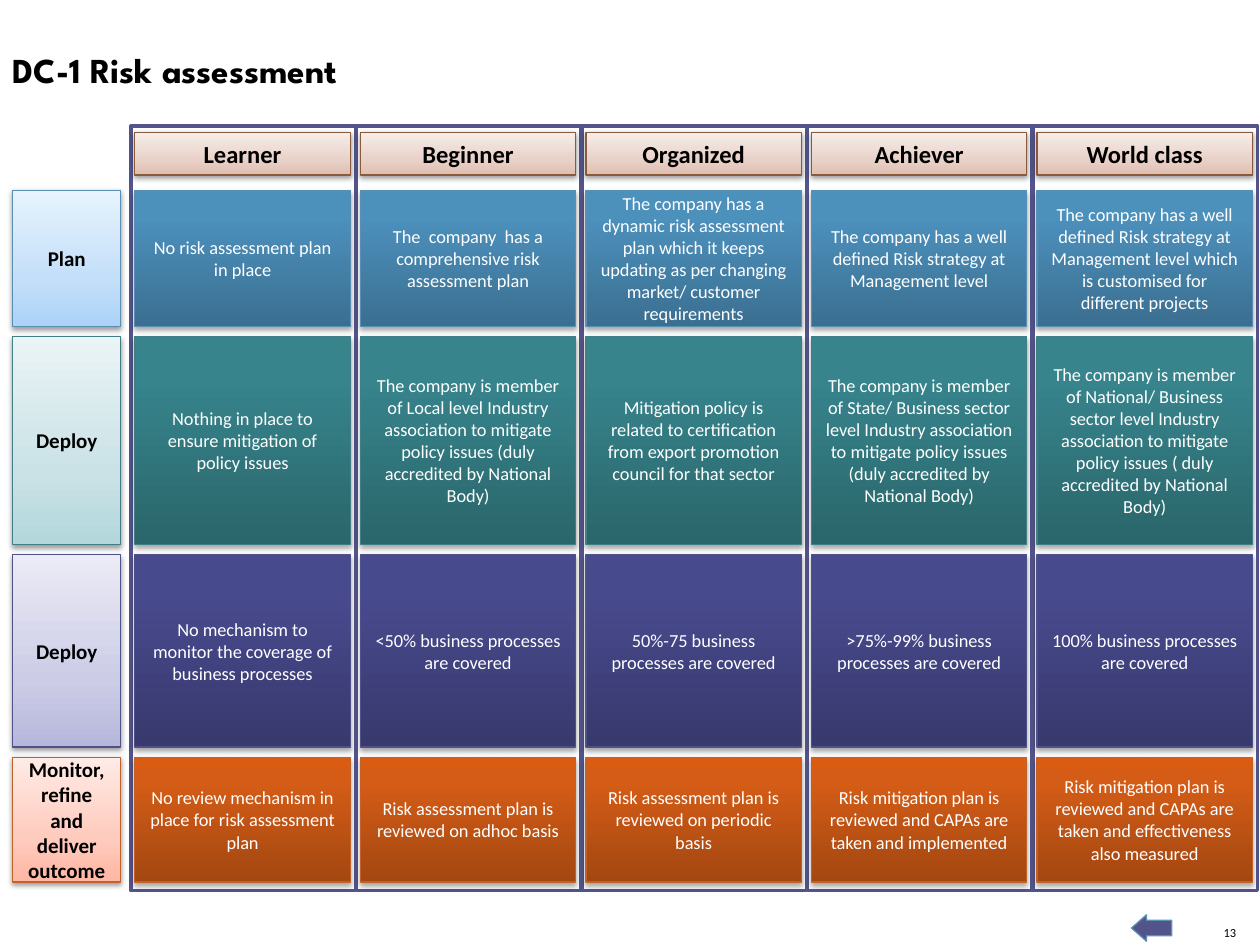
from itertools import accumulate

from lxml import etree
from pptx import Presentation
from pptx.dml.color import RGBColor
from pptx.enum.shapes import MSO_SHAPE
from pptx.enum.text import MSO_ANCHOR, MSO_AUTO_SIZE, PP_ALIGN
from pptx.oxml.ns import qn
from pptx.util import Inches, Pt

RECT, ARROW = MSO_SHAPE.RECTANGLE, MSO_SHAPE.RIGHT_ARROW
LEFT, CENTER, RIGHT = PP_ALIGN.LEFT, PP_ALIGN.CENTER, PP_ALIGN.RIGHT
MIDDLE, BOTTOM = MSO_ANCHOR.MIDDLE, MSO_ANCHOR.BOTTOM

BLACK = RGBColor(0x00, 0x00, 0x00)
WHITE = RGBColor(0xFF, 0xFF, 0xFF)
INDIGO = RGBColor(0x53, 0x54, 0x8A)
ARROW_LINE = RGBColor(0x5C, 0x92, 0xB5)
BROWN = RGBColor(0x8A, 0x5B, 0x3A)
BLUE = RGBColor(0x58, 0x8F, 0xB3)
TEAL = RGBColor(0x40, 0x7F, 0x85)
VIOLET = RGBColor(0x50, 0x51, 0x88)
ORANGE = RGBColor(0xC3, 0x62, 0x28)


def shades(*values):
    return [RGBColor.from_string(v) for v in values]


HEADER_FILL = shades("E0BEB0", "E8D1C8", "F7EDEA")
LIGHT_STOPS, DARK_STOPS = (0, 35, 100), (0, 80, 100)

# Grid, in inches
COL_LEFT, COL_PITCH, COL_WIDTH = 1.07, 1.79, 1.71
FRAME_LEFT, FRAME_TOP, FRAME_WIDTH, FRAME_HEIGHT = 1.04, 1, 1.78, 6.07
HEADER_TOP, HEADER_HEIGHT = 1.05, 0.34
LABEL_LEFT, LABEL_WIDTH = 0.1, 0.86
ROW_TOP, ROW_GAP = 1.51, 0.08

LEVELS = ["Learner", "Beginner", "Organized", "Achiever", "World class"]

# Label, height, line, label shades, cell shades, cell texts
ROWS = [
    ("Plan", 1.08, BLUE, shades("ABD3F8", "C4DFF9", "E7F3FE"),
     shades("3B6F91", "4C90BC", "4A91BF"), [
         "No risk assessment plan in place",
         "The  company  has a comprehensive risk assessment plan",
         "The company has a dynamic risk assessment plan which it keeps "
         "updating as per changing market/ customer requirements",
         "The company has a well defined Risk strategy at Management level",
         "The company has a well defined Risk strategy at Management level "
         "which is customised for different projects"]),
    ("Deploy", 1.65, TEAL, shades("B3D7DC", "CAE2E6", "EAF4F6"),
     shades("2A666B", "37848C", "36868E"), [
         "Nothing in place to ensure mitigation of policy issues",
         "The company is member of Local level Industry association to "
         "mitigate policy issues (duly accredited by National Body)",
         "Mitigation policy is related to certification from export "
         "promotion council for that sector",
         "The company is member of State/ Business sector level Industry "
         "association to mitigate policy issues (duly accredited by National Body)",
         "The company is member of National/ Business sector level Industry "
         "association to mitigate policy issues ( duly accredited by National Body)"]),
    ("Deploy", 1.53, VIOLET, shades("B6B7DC", "CCCCE6", "EBEBF6"),
     shades("38396D", "484A8E", "474990"), [
         "No mechanism to monitor the coverage of business processes",
         "<50% business processes are covered",
         "50%-75 business processes are covered",
         ">75%-99% business processes are covered",
         "100% business processes are covered"]),
    ("Monitor, refine and deliver outcome", 0.99, ORANGE,
     shades("FFB6A3", "FFCBBE", "FFEBE6"),
     shades("A34711", "D45C16", "D95C12"), [
         "No review mechanism in place for risk assessment plan",
         "Risk assessment plan is reviewed on adhoc basis",
         "Risk assessment plan is reviewed on periodic basis",
         "Risk mitigation plan is reviewed and CAPAs are taken and implemented",
         "Risk mitigation plan is reviewed and CAPAs are taken and "
         "effectiveness also measured"]),
]


def write(tf, text, size, color=BLACK, bold=False, font="Calibri",
          align=CENTER, anchor=MIDDLE, wrap=True):
    tf.word_wrap = wrap
    tf.auto_size = MSO_AUTO_SIZE.NONE
    tf.vertical_anchor = anchor
    p = tf.paragraphs[0]
    p.alignment = align
    r = p.add_run()
    r.text = text
    r.font.size = Pt(size)
    r.font.name = font
    r.font.bold = bold
    r.font.color.rgb = color


def add_shape(s, kind, box, fill, line, width):
    sp = s.shapes.add_shape(kind, *map(Inches, box))
    sp.shadow.inherit = False
    sp.fill.solid()
    sp.fill.fore_color.rgb = fill
    sp.line.color.rgb = line
    sp.line.width = Pt(width)
    return sp


def add_color(parent, color):
    return etree.SubElement(parent, qn("a:srgbClr"), val=str(color))


def set_gradient(sp, colors, stops):
    """Fill from bottom to top."""
    props = sp.element.spPr
    grad = etree.Element(qn("a:gradFill"), rotWithShape="1")
    stop_list = etree.SubElement(grad, qn("a:gsLst"))
    for color, stop in zip(colors, stops):
        add_color(etree.SubElement(stop_list, qn("a:gs"), pos=str(stop * 1000)), color)
    etree.SubElement(grad, qn("a:lin"), ang="16200000", scaled="0")
    props.replace(props.find(qn("a:solidFill")), grad)


def add_shadow(sp, opacity, distance):
    shadow = etree.SubElement(
        sp.element.spPr.find(qn("a:effectLst")), qn("a:outerShdw"),
        blurRad=str(Pt(3.1)), dist=str(Pt(distance)), dir="5400000", rotWithShape="0")
    etree.SubElement(add_color(shadow, BLACK), qn("a:alpha"), val=str(opacity * 1000))


def add_light_box(s, box, text, colors, line, size):
    sp = add_shape(s, RECT, box, WHITE, line, 0.75)
    set_gradient(sp, colors, LIGHT_STOPS)
    add_shadow(sp, 38, 1.6)
    write(sp.text_frame, text, size, bold=True)


def add_dark_box(s, box, text, colors, line):
    sp = add_shape(s, RECT, box, WHITE, line, 0.75)
    set_gradient(sp, colors, DARK_STOPS)
    add_shadow(sp, 35, 1.8)
    write(sp.text_frame, text, 10.5, color=WHITE)


def add_title(s, text):
    title = s.shapes.title
    title.left, title.top, title.width, title.height = map(Inches, (0, 0.33, 8.6, 0.44))
    write(title.text_frame, text, 20, bold=True, font="League Spartan", align=LEFT)


def add_footer(s, number):
    arrow = add_shape(s, ARROW, (8.98, 7.26, 0.32, 0.21), INDIGO, ARROW_LINE, 0.75)
    arrow.rotation = 180
    arrow.adjustments[0], arrow.adjustments[1] = 0.588, 0.565
    tf = s.shapes.add_textbox(*map(Inches, (9.69, 7.34, 0.12, 0.12))).text_frame
    tf.margin_left = tf.margin_top = tf.margin_right = tf.margin_bottom = 0
    write(tf, number, 7.1, align=RIGHT, anchor=BOTTOM, wrap=False)


def add_matrix(s):
    lefts = [COL_LEFT + i * COL_PITCH for i in range(len(LEVELS))]
    tops = accumulate((row[1] + ROW_GAP for row in ROWS), initial=ROW_TOP)
    for i in range(len(LEVELS)):
        box = (FRAME_LEFT + i * COL_PITCH, FRAME_TOP, FRAME_WIDTH, FRAME_HEIGHT)
        add_shape(s, RECT, box, WHITE, INDIGO, 2)
    for (label, height, line, light, dark, texts), top in zip(ROWS, tops):
        add_light_box(s, (LABEL_LEFT, top, LABEL_WIDTH, height), label, light, line, 12)
        for left, text in zip(lefts, texts):
            add_dark_box(s, (left, top, COL_WIDTH, height), text, dark, line)
    for left, level in zip(lefts, LEVELS):
        box = (left, HEADER_TOP, COL_WIDTH, HEADER_HEIGHT)
        add_light_box(s, box, level, HEADER_FILL, BROWN, 14)


def main():
    prs = Presentation()
    prs.slide_width, prs.slide_height = Inches(10), Inches(7.5)
    s = prs.slides.add_slide(prs.slide_layouts[5])
    add_title(s, "DC-1 Risk assessment")
    add_matrix(s)
    add_footer(s, "13")
    prs.save("out.pptx")


if __name__ == "__main__":
    main()
